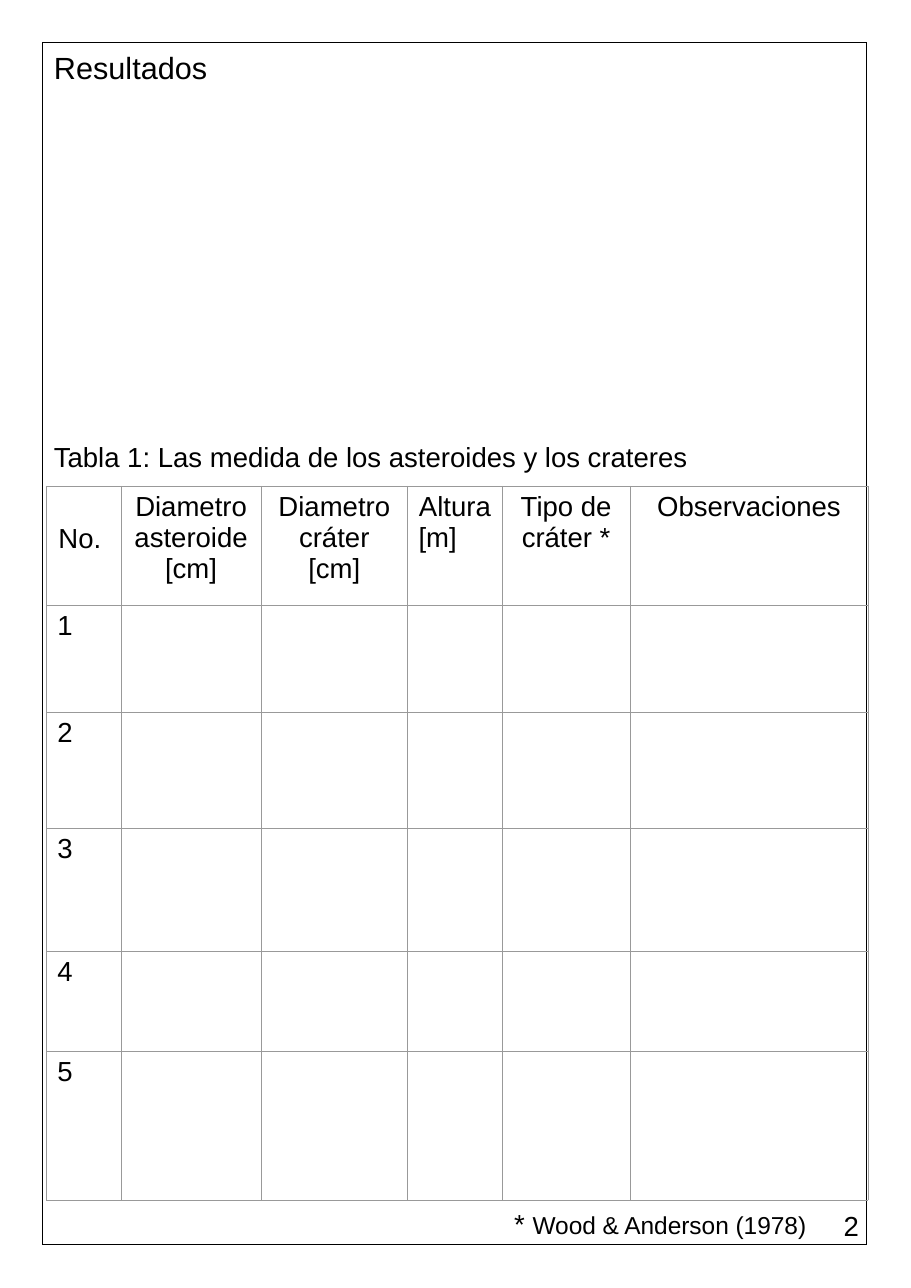
from dataclasses import dataclass
from typing import Any

from lxml import etree
from pptx import Presentation
from pptx.dml.color import RGBColor
from pptx.enum.text import MSO_ANCHOR, MSO_AUTO_SIZE, PP_ALIGN
from pptx.oxml.ns import qn
from pptx.util import Emu, Pt

LEFT, CENTER = PP_ALIGN.LEFT, PP_ALIGN.CENTER
TOP = MSO_ANCHOR.TOP
NO_AUTOFIT, GROW = MSO_AUTO_SIZE.NONE, MSO_AUTO_SIZE.SHAPE_TO_FIT_TEXT

BLACK = RGBColor(0x00, 0x00, 0x00)
GRID_GREY = RGBColor(0x99, 0x99, 0x99)
FONT = "Arial"
EMU_PER_PX = 9144  # 100 px to the inch
GRID_WIDTH = Pt(0.06)


def px(length: int) -> Emu:
    return Emu(length * EMU_PER_PX)


@dataclass(frozen=True)
class Run:
    text: str
    size: int = 18


@dataclass(frozen=True)
class Line:
    runs: tuple[Run, ...]
    align: Any = LEFT


@dataclass(frozen=True)
class Note:
    box: tuple[int, int, int, int]
    line: Line


@dataclass(frozen=True)
class Column:
    width: int
    heading: tuple[Line, ...]
    top_margin: int = 5


def centered(text: str) -> Line:
    return Line((Run(text),), CENTER)


FRAME = (39, 39, 748, 1091)
TABLE_LEFT, TABLE_TOP = 42, 441
ROW_HEIGHTS = (108, 97, 106, 111, 91, 135)

COLUMNS = (
    Column(68, (centered("No. "),), top_margin=34),
    Column(127, (centered("Diametro asteroide [cm]"),)),
    Column(133, (centered("Diametro cráter"), centered("[cm]"))),
    Column(86, (centered("Altura"), Line((Run("[m]"),)))),
    Column(116, (centered("Tipo de cráter *"),)),
    Column(216, (centered("Observaciones"),)),
)

NOTES = (
    Note((457, 1091, 386, 63), Line((Run("* "), Run("Wood & Anderson (1978)", 16)))),
    Note((39, 394, 748, 66),
         Line((Run("Tabla 1: Las medida de los asteroides y los crateres"),))),
    Note((756, 1092, 39, 38), Line((Run("2"),))),
)


def apply(target: Any, values: dict[str, Any]) -> None:
    for name, value in values.items():
        setattr(target, name, value)


def place(shape: Any, box: tuple[int, int, int, int]) -> None:
    apply(shape, dict(zip(("left", "top", "width", "height"), map(px, box))))


def write(frame: Any, lines: tuple[Line, ...]) -> None:
    for index, line in enumerate(lines):
        paragraph = frame.add_paragraph() if index else frame.paragraphs[0]
        paragraph.alignment = line.align
        for part in line.runs:
            run = paragraph.add_run()
            run.text = part.text
            apply(run.font, {"name": FONT, "size": Pt(part.size)})
            run.font.color.rgb = BLACK


def format_frame(frame: Any, auto_size: Any) -> None:
    apply(frame, {
        "word_wrap": True, "auto_size": auto_size, "vertical_anchor": TOP,
        "margin_left": px(10), "margin_right": px(10),
        "margin_top": px(5), "margin_bottom": px(5),
    })


def rule_cell(cell: Any) -> None:
    properties = cell._tc.get_or_add_tcPr()
    for side in ("lnL", "lnR", "lnT", "lnB"):
        border = etree.SubElement(properties, qn(f"a:{side}"), w=str(int(GRID_WIDTH)))
        fill = etree.SubElement(border, qn("a:solidFill"))
        etree.SubElement(fill, qn("a:srgbClr"), val=str(GRID_GREY))
    cell.fill.background()


def add_title(slide: Any) -> None:
    title = slide.shapes.title
    place(title, FRAME)
    title.fill.background()
    title.line.color.rgb = BLACK
    title.line.width = Pt(0)
    format_frame(title.text_frame, NO_AUTOFIT)
    write(title.text_frame, (Line((Run("Resultados", 20),)),))


def add_crater_table(slide: Any) -> None:
    width = sum(column.width for column in COLUMNS)
    table = slide.shapes.add_table(
        len(ROW_HEIGHTS), len(COLUMNS), px(TABLE_LEFT), px(TABLE_TOP),
        px(width), px(sum(ROW_HEIGHTS))).table
    apply(table, {"first_row": False, "horz_banding": False})
    for row, height in zip(table.rows, ROW_HEIGHTS):
        row.height = px(height)
    for index, column in enumerate(COLUMNS):
        table.columns[index].width = px(column.width)
        heading = table.cell(0, index)
        heading.margin_top = px(column.top_margin)
        write(heading.text_frame, column.heading)
    for number in range(1, len(ROW_HEIGHTS)):
        write(table.cell(number, 0).text_frame, (Line((Run(str(number)),)),))
    for cell in table.iter_cells():
        rule_cell(cell)


def add_note(slide: Any, note: Note) -> None:
    box = slide.shapes.add_textbox(*map(px, note.box))
    format_frame(box.text_frame, GROW)
    write(box.text_frame, (note.line,))


def main() -> None:
    deck = Presentation()
    apply(deck, {"slide_width": px(827), "slide_height": px(1169)})
    slide = deck.slides.add_slide(deck.slide_layouts.get_by_name("Title Only"))

    # Page frame with its title
    add_title(slide)
    # Crater measurements
    add_crater_table(slide)
    # Source note, table caption and page number
    for note in NOTES:
        add_note(slide, note)

    deck.save("out.pptx")


if __name__ == "__main__":
    main()
